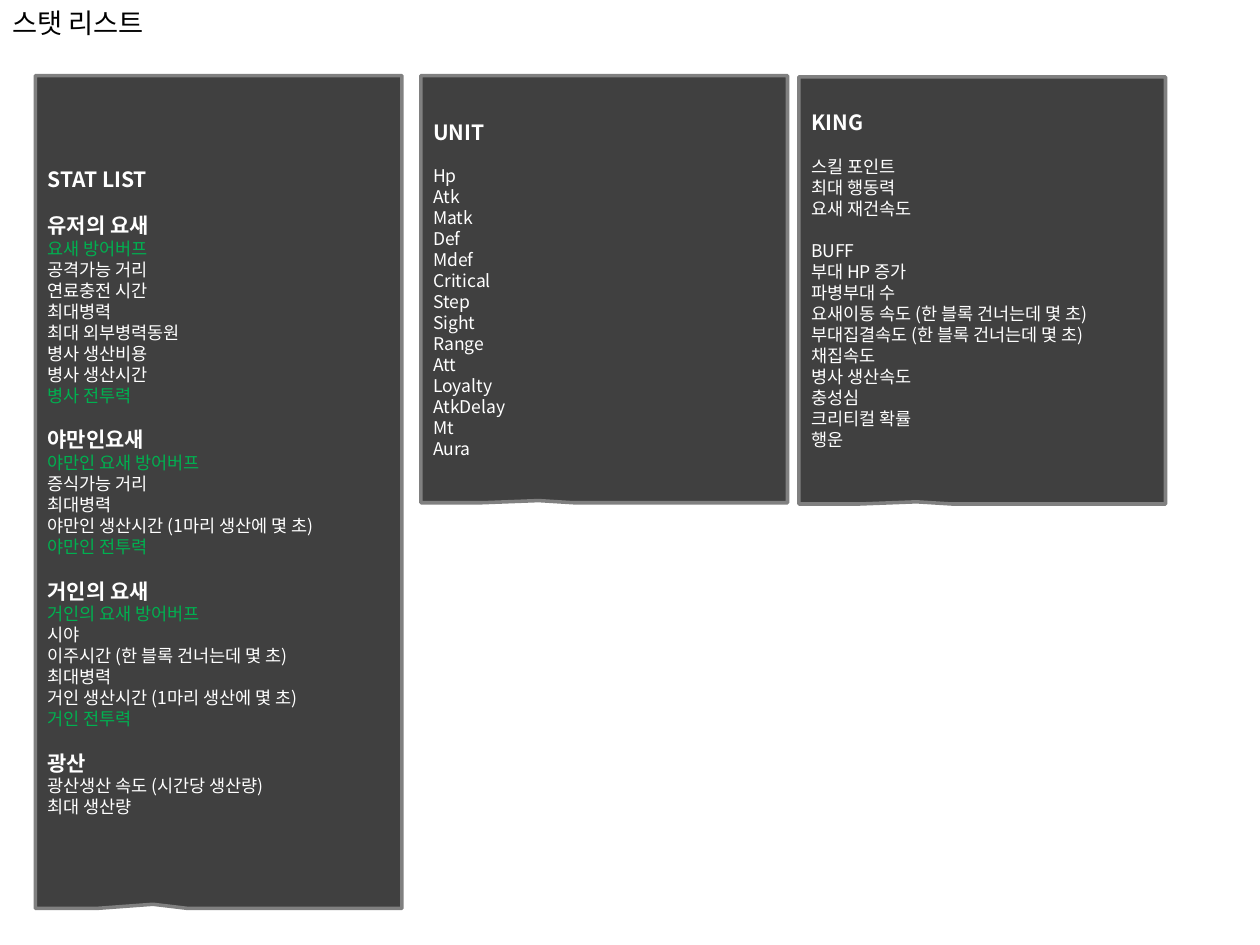
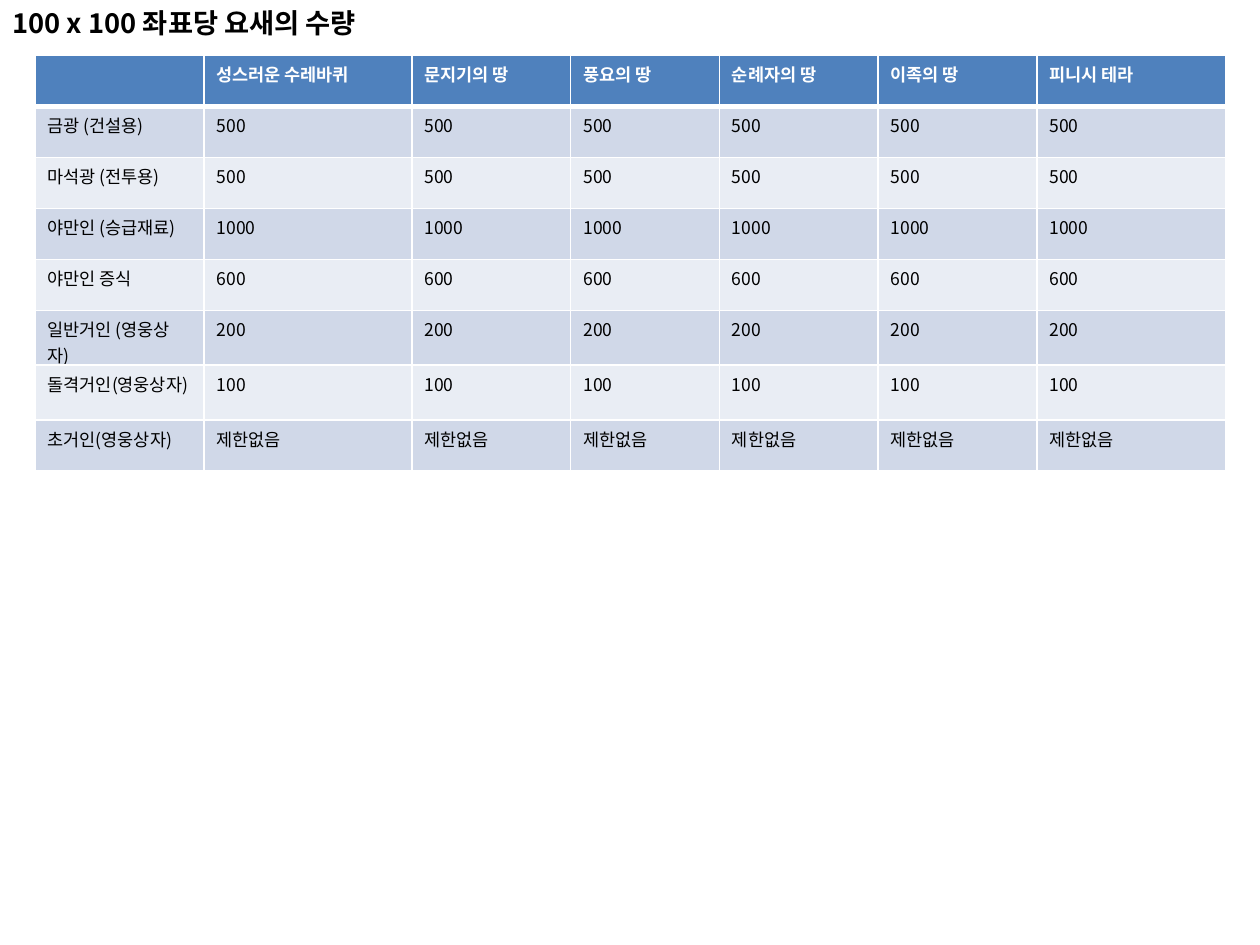
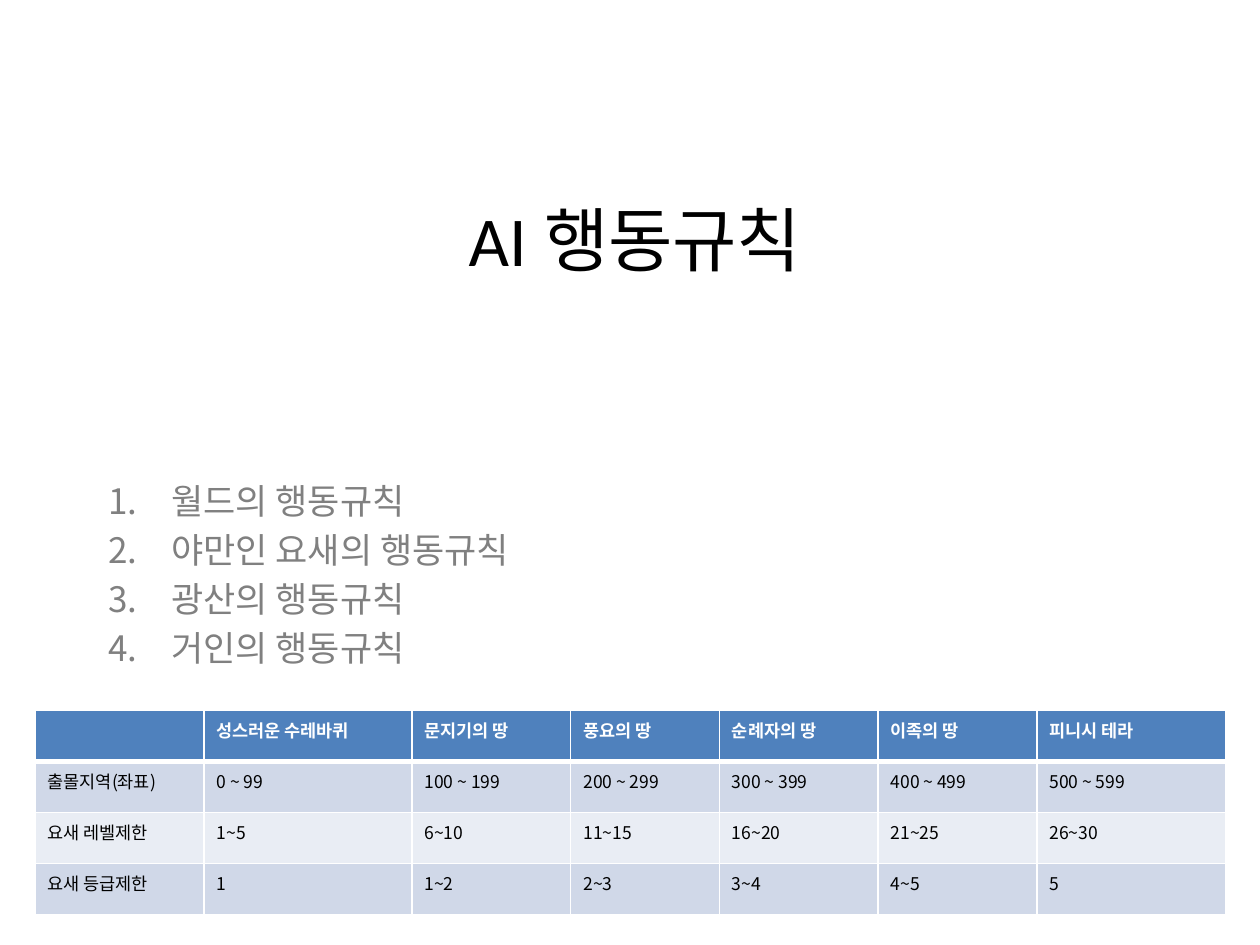
from lxml import etree
from pptx import Presentation
from pptx.dml.color import RGBColor
from pptx.enum.shapes import MSO_SHAPE
from pptx.enum.text import MSO_ANCHOR, PP_ALIGN
from pptx.oxml.ns import qn
from pptx.util import Inches, Pt

CALLOUT = MSO_SHAPE.RECTANGULAR_CALLOUT
MIDDLE, TOP = MSO_ANCHOR.MIDDLE, MSO_ANCHOR.TOP
LEFT, CENTER = PP_ALIGN.LEFT, PP_ALIGN.CENTER

KOREAN_FONT = "Noto Sans CJK KR"
BLACK, WHITE, GRAY = "000000", "FFFFFF", "808080"
PANEL, GREEN = "404040", "00B050"
HEADER_FILL, BAND_FILLS = "4F81BD", ("D0D8E8", "E9EDF4")

LINE_RATIO = 1.2
ITEM_SIZE, HEADING_SIZE = 10, 12
GROUP_GAP = ITEM_SIZE * LINE_RATIO
ACCENT_ENDINGS = ("방어버프", "전투력")

TABLE_LEFT = 0.28
COLUMN_WIDTHS = (1.34, 1.65, 1.26, 1.18, 1.26, 1.26, 1.5)
ROW_HEIGHT = 1.62 / 4
REGIONS = ["", "성스러운 수레바퀴", "문지기의 땅", "풍요의 땅", "순례자의 땅", "이족의 땅", "피니시 테라"]

STAT_GROUPS = [
    ("STAT LIST", []),
    ("유저의 요새", ["요새 방어버프", "공격가능 거리", "연료충전 시간", "최대병력", "최대 외부병력동원",
                "병사 생산비용", "병사 생산시간", "병사 전투력"]),
    ("야만인요새", ["야만인 요새 방어버프", "증식가능 거리", "최대병력",
               "야만인 생산시간 (1마리 생산에 몇 초)", "야만인 전투력"]),
    ("거인의 요새", ["거인의 요새 방어버프", "시야", "이주시간 (한 블록 건너는데 몇 초)", "최대병력",
                "거인 생산시간 (1마리 생산에 몇 초)", "거인 전투력"]),
    ("광산", ["광산생산 속도 (시간당 생산량)", "최대 생산량"]),
]
UNIT_GROUPS = [
    ("UNIT", []),
    (None, ["Hp", "Atk", "Matk", "Def", "Mdef", "Critical", "Step", "Sight", "Range", "Att",
            "Loyalty", "AtkDelay", "Mt", "Aura"]),
]
KING_GROUPS = [
    ("KING", []),
    (None, ["스킬 포인트", "최대 행동력", "요새 재건속도"]),
    (None, ["BUFF", "부대 HP 증가", "파병부대 수", "요새이동 속도 (한 블록 건너는데 몇 초)",
            "부대집결속도 (한 블록 건너는데 몇 초)", "채집속도", "병사 생산속도", "충성심",
            "크리티컬 확률", "행운"]),
]
FORTRESS_COUNTS = [
    ("금광 (건설용)", "500"),
    ("마석광 (전투용)", "500"),
    ("야만인 (승급재료)", "1000"),
    ("야만인 증식", "600"),
    ("일반거인 (영웅상자)", "200"),
    ("돌격거인(영웅상자)", "100"),
    ("초거인(영웅상자)", "제한없음"),
]
REGION_RULES = [
    ["출몰지역(좌표)"] + [f"{start} ~ {start + 99}" for start in range(0, 600, 100)],
    ["요새 레벨제한"] + [f"{start}~{start + 4}" for start in range(1, 31, 5)],
    ["요새 등급제한", "1", "1~2", "2~3", "3~4", "4~5", "5"],
]
AI_RULES = ["월드의 행동규칙", "야만인 요새의 행동규칙", "광산의 행동규칙", "거인의 행동규칙"]


def color(value):
    """Turn a hex string into a colour."""
    return RGBColor.from_string(value)


def apply_format(target, values):
    """Set attributes from a dict of format values."""
    for name, value in values.items():
        setattr(target, name, value)


def add_run(paragraph, text, size, hex_color, bold=False, font=KOREAN_FONT):
    """Add formatted text with a Korean font for Hangul."""
    run = paragraph.add_run()
    run.text = text
    run.font.color.rgb = color(hex_color)
    apply_format(run.font, {"size": Pt(size), "bold": bold, "name": font})
    etree.SubElement(run.font._element, qn("a:ea"), typeface=KOREAN_FONT)


def next_paragraph(frame):
    """Return the first paragraph while it is empty, otherwise a new one."""
    first = frame.paragraphs[0]
    return frame.add_paragraph() if first.runs else first


def add_text_box(slide, left, top, width, height, anchor=MIDDLE):
    """Add a wrapping text box and return its text frame."""
    box = slide.shapes.add_textbox(Inches(left), Inches(top), Inches(width), Inches(height))
    apply_format(box.text_frame, {"word_wrap": True, "vertical_anchor": anchor})
    return box.text_frame


def add_slide_title(slide, text, bold=False):
    """Add the small title at the top left of a slide."""
    frame = add_text_box(slide, 0, 0, 9.69, 0.36)
    add_run(frame.paragraphs[0], text, 15.6, BLACK, bold)


def add_stat_line(frame, text, size, hex_color, bold, gap):
    """Add one line of a stat panel."""
    paragraph = next_paragraph(frame)
    apply_format(paragraph, {"alignment": LEFT, "line_spacing": Pt(size * LINE_RATIO),
                             "space_before": Pt(gap)})
    add_run(paragraph, text, size, hex_color, bold)


def add_stat_panel(slide, left, top, height, groups, bottom_margin=0.05):
    """Add a dark callout that lists groups of stats."""
    panel = slide.shapes.add_shape(CALLOUT, Inches(left), Inches(top), Inches(2.91), Inches(height))
    panel.adjustments[0], panel.adjustments[1] = -0.179, 0.495
    panel.shadow.inherit = False
    panel.fill.solid()
    panel.fill.fore_color.rgb = color(PANEL)
    panel.line.color.rgb = color(GRAY)
    panel.line.width = Pt(2)
    frame = panel.text_frame
    apply_format(frame, {"word_wrap": True, "vertical_anchor": MIDDLE,
                         "margin_bottom": Inches(bottom_margin)})
    for group_index, (heading, items) in enumerate(groups):
        gap = GROUP_GAP if group_index else 0
        if heading:
            add_stat_line(frame, heading, HEADING_SIZE, WHITE, True, gap)
            gap = 0
        for item in items:
            item_color = GREEN if item.endswith(ACCENT_ENDINGS) else WHITE
            add_stat_line(frame, item, ITEM_SIZE, item_color, False, gap)
            gap = 0


def set_cell_borders(cell, top, bottom):
    """Draw white borders around a cell."""
    properties = cell._tc.get_or_add_tcPr()
    for side, width in {"L": 1, "R": 1, "T": top, "B": bottom}.items():
        line = etree.SubElement(properties, qn(f"a:ln{side}"), w=str(Pt(width)))
        fill = etree.SubElement(line, qn("a:solidFill"))
        etree.SubElement(fill, qn("a:srgbClr"), val=WHITE)


def add_region_table(slide, top, rows):
    """Add a table with one column for each region."""
    rows = [REGIONS, *rows]
    graphic_frame = slide.shapes.add_table(
        len(rows), len(REGIONS), Inches(TABLE_LEFT), Inches(top),
        Inches(sum(COLUMN_WIDTHS)), Inches(ROW_HEIGHT * len(rows)))
    table = graphic_frame.table
    apply_format(table, {"first_row": False, "horz_banding": False})
    for column, width in zip(table.columns, COLUMN_WIDTHS):
        column.width = Inches(width)
    for row_index, texts in enumerate(rows):
        is_header = row_index == 0
        fill_color = HEADER_FILL if is_header else BAND_FILLS[(row_index - 1) % 2]
        for column_index, text in enumerate(texts):
            cell = table.cell(row_index, column_index)
            set_cell_borders(cell, 3 if row_index == 1 else 1, 3 if is_header else 1)
            cell.fill.solid()
            cell.fill.fore_color.rgb = color(fill_color)
            if text:
                add_run(cell.text_frame.paragraphs[0], text, ITEM_SIZE,
                        WHITE if is_header else BLACK, is_header)


def add_numbered_list(slide, items):
    """Add the gray numbered list of rules."""
    frame = add_text_box(slide, 0.76, 3.76, 8.9, 2.51, TOP)
    for index, item in enumerate(items):
        paragraph = next_paragraph(frame)
        apply_format(paragraph, {"line_spacing": Pt(20 * LINE_RATIO),
                                 "space_before": Pt(4 if index else 0)})
        properties = paragraph._p.get_or_add_pPr()
        properties.set("marL", str(Inches(0.5)))
        properties.set("indent", str(Inches(-0.5)))
        etree.SubElement(properties, qn("a:buFont"), typeface="+mj-lt")
        etree.SubElement(properties, qn("a:buAutoNum"), type="arabicPeriod")
        add_run(paragraph, item, 20, GRAY)


def build_stat_slide(slide):
    """Build the list of stats."""
    add_slide_title(slide, "스탯 리스트")
    add_stat_panel(slide, 0.28, 0.6, 6.61, STAT_GROUPS)
    add_stat_panel(slide, 3.34, 0.6, 3.39, UNIT_GROUPS)
    add_stat_panel(slide, 6.34, 0.61, 3.39, KING_GROUPS, bottom_margin=0.22)


def build_count_slide(slide):
    """Build the table of fortress counts."""
    add_slide_title(slide, "100 x 100 좌표당 요새의 수량", bold=True)
    region_count = len(REGIONS) - 1
    add_region_table(slide, 0.44, [[name] + [count] * region_count for name, count in FORTRESS_COUNTS])


def build_rule_slide(slide):
    """Build the overview of AI rules."""
    paragraph = add_text_box(slide, 0.79, 1.15, 8.5, 1.49).paragraphs[0]
    paragraph.alignment = CENTER
    add_run(paragraph, "AI", 40, BLACK, font="Calibri")
    add_run(paragraph, " 행동규칙", 40, BLACK, font="Roboto")
    add_numbered_list(slide, AI_RULES)
    add_region_table(slide, 5.64, REGION_RULES)


def main():
    """Build and save the presentation."""
    presentation = Presentation()
    apply_format(presentation, {"slide_width": Inches(10), "slide_height": Inches(7.5)})
    blank_layout = presentation.slide_layouts[6]
    for build_slide in (build_stat_slide, build_count_slide, build_rule_slide):
        build_slide(presentation.slides.add_slide(blank_layout))
    presentation.save("out.pptx")


if __name__ == "__main__":
    main()
